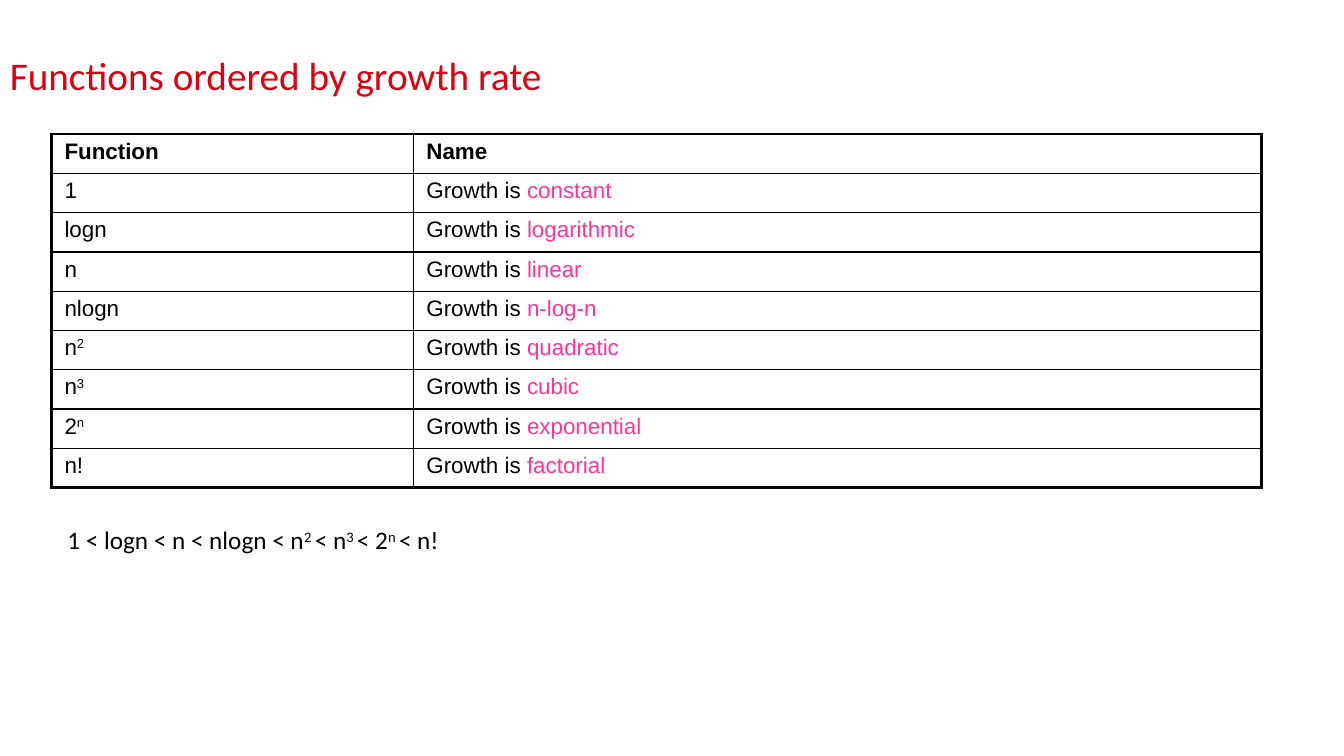
from lxml.etree import SubElement as add_node
from pptx import Presentation
from pptx.dml.color import RGBColor as Color
from pptx.enum.shapes import MSO_SHAPE as Preset
from pptx.enum.text import MSO_ANCHOR as Anchor, PP_ALIGN as Align
from pptx.oxml.ns import qn
from pptx.util import Pt

EMU_PER_PX = 9144
COLORS = {"title": "DD0111", "ink": "000000", "accent": "FF3399", "paper": "FFFFFF"}
THIN, THICK = 1, 2.25
GROWTH = [
    ("1", "constant"),
    ("logn", "logarithmic"),
    ("n", "linear"),
    ("nlogn", "n-log-n"),
    ("n^2", "quadratic"),
    ("n^3", "cubic"),
    ("2^n", "exponential"),
    ("n!", "factorial"),
]


def px(*lengths):
    return [length * EMU_PER_PX for length in lengths]


def rgb(name):
    return Color.from_string(COLORS[name])


class SlideBuilder:
    def __init__(self, deck):
        self.slide = deck.slides.add_slide(deck.slide_layouts[6])

    def add_text(self, frame, text, size, font="Calibri", color="ink", bold=False, accent=None):
        para = frame.paragraphs[0]
        para.alignment = Align.LEFT
        style = {"size": Pt(size), "name": font, "bold": bold}
        for index, part in enumerate(text.split("^")):
            marked = index % 2 == 1
            span = para.add_run()
            span.text = part
            for key, value in style.items():
                setattr(span.font, key, value)
            span.font.color.rgb = rgb(accent if marked and accent else color)
            if marked and not accent:
                span.font._element.set("baseline", "30000")
        return para

    def title(self, text, bounds):
        box = self.slide.shapes.add_textbox(*px(*bounds))
        frame = box.text_frame
        frame.word_wrap = True
        frame.vertical_anchor = Anchor.MIDDLE
        self.add_text(frame, text, 28, color="title").line_spacing = 0.9

    def panel(self, text, bounds):
        box = self.slide.shapes.add_shape(Preset.RECTANGLE, *px(*bounds))
        box.shadow.inherit = False
        box.fill.solid()
        box.fill.fore_color.rgb = rgb("paper")
        box.line.color.rgb = rgb("paper")
        box.line.width = Pt(0.75)
        frame = box.text_frame
        frame.word_wrap = True
        frame.vertical_anchor = Anchor.MIDDLE
        self.add_text(frame, text, 18)

    def border(self, cell, side, width):
        line = add_node(cell._tc.get_or_add_tcPr(), qn(f"a:ln{side}"), w=str(Pt(width)))
        fill = add_node(line, qn("a:solidFill"))
        add_node(fill, qn("a:srgbClr"), val=COLORS["ink"])

    def cell(self, cell, text, edges, **style):
        margins = dict(zip(("left", "right", "top", "bottom"), px(13, 13, 5, 5)))
        for side, margin in margins.items():
            setattr(cell, f"margin_{side}", margin)
        for side, outer in edges.items():
            self.border(cell, side, THICK if outer else THIN)
        cell.fill.background()
        para = self.add_text(cell.text_frame, text, 16, "Arial", **style)
        spacing = add_node(para._p.get_or_add_pPr(), qn("a:spcBef"))
        add_node(spacing, qn("a:spcPct"), val="20000")

    def table(self, rows, left, top, widths, row_height):
        last_row, last_column = len(rows) - 1, len(widths) - 1
        bounds = px(left, top, sum(widths), row_height * len(rows))
        table = self.slide.shapes.add_table(len(rows), len(widths), *bounds).table
        table.first_row = table.horz_banding = False
        for column, width in zip(table.columns, px(*widths)):
            column.width = width
        for r, texts in enumerate(rows):
            table.rows[r].height = row_height * EMU_PER_PX
            for c, text in enumerate(texts):
                edges = {"L": c == 0, "R": c == last_column, "T": r == 0, "B": r == last_row}
                accent = "accent" if c == last_column else None
                self.cell(table.cell(r, c), text, edges, bold=r == 0, accent=accent)


def main():
    deck = Presentation()
    deck.slide_width, deck.slide_height = px(1333, 750)
    page = SlideBuilder(deck)
    page.title("Functions ordered by growth rate", (0, 40, 1150, 75))
    rows = [("Function", "Name")]
    rows += [(function, f"Growth is ^{name}") for function, name in GROWTH]
    page.table(rows, 51, 133, (359, 841), 39)
    page.panel("1 < logn < n < nlogn < n^2 ^< n^3 ^< 2^n ^< n!", (57, 503, 1178, 65))
    deck.save("out.pptx")


if __name__ == "__main__":
    main()
